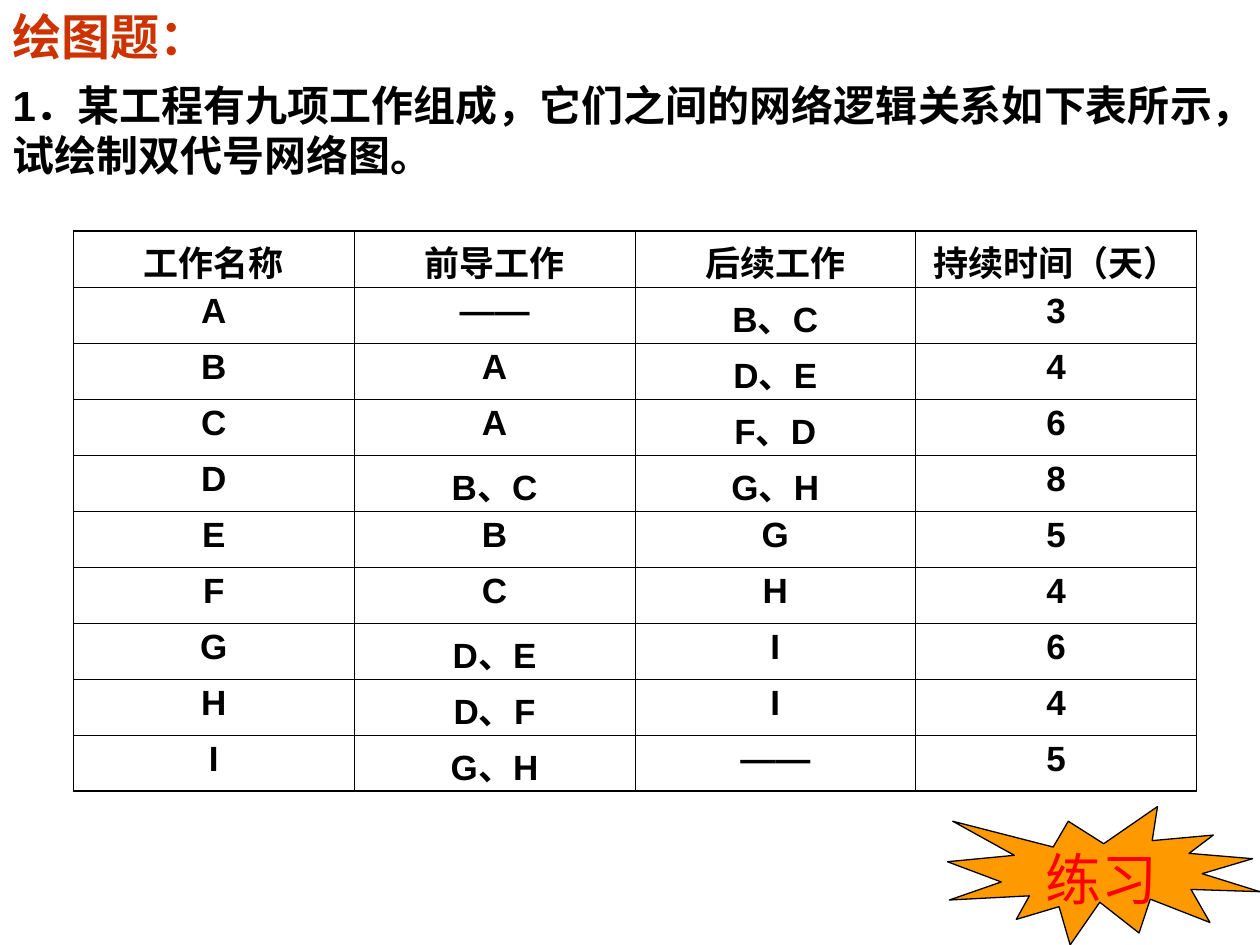
import pptx
import pptx.dml.color
import pptx.enum.shapes
import pptx.enum.text
import pptx.oxml
import pptx.oxml.ns
import pptx.util
from pptx.util import Cm

HEADING = "绘图题："
QUESTION = "1．某工程有九项工作组成，它们之间的网络逻辑关系如下表所示，试绘制双代号网络图。"
BADGE = "练习"
TASKS = [
    ("工作名称", "前导工作", "后续工作", "持续时间（天）"),
    ("A", "——", "B、C", "3"),
    ("B", "A", "D、E", "4"),
    ("C", "A", "F、D", "6"),
    ("D", "B、C", "G、H", "8"),
    ("E", "B", "G", "5"),
    ("F", "C", "H", "4"),
    ("G", "D、E", "I", "6"),
    ("H", "D、F", "I", "4"),
    ("I", "G、H", "——", "5"),
]
COLUMN_WIDTH, ROW_HEIGHT = Cm(5.66), Cm(1.13)
INNER_LINE, OUTER_LINE = 0.45, 1.08


def rgb(color):
    return pptx.dml.color.RGBColor.from_string(color)


def write(frame, text, size, color, bold=True, align=pptx.enum.text.PP_ALIGN.LEFT):
    paragraph = frame.paragraphs[0]
    paragraph.text = text
    paragraph.alignment = align
    paragraph.space_before = pptx.util.Pt(0)
    paragraph.font.name = "Arial"
    paragraph.font.size = pptx.util.Pt(size)
    paragraph.font.bold = bold
    paragraph.font.color.rgb = rgb(color)


def place(placeholder, left, top, width, height):
    """Move a placeholder and let its text start at the top at full size."""
    placeholder.left, placeholder.top = left, top
    placeholder.width, placeholder.height = width, height
    frame = placeholder.text_frame
    frame.word_wrap = True
    frame.auto_size = pptx.enum.text.MSO_AUTO_SIZE.NONE
    frame.vertical_anchor = pptx.enum.text.MSO_ANCHOR.TOP
    return frame


def set_borders(cell, widths):
    """Draw black borders; widths are points for left, right, top, bottom."""
    properties = cell._tc.get_or_add_tcPr()
    for position, (side, width) in enumerate(zip("LRTB", widths)):
        properties.insert(position, pptx.oxml.parse_xml(
            f'<a:ln{side} {pptx.oxml.ns.nsdecls("a")} w="{pptx.util.Pt(width)}">'
            '<a:solidFill><a:srgbClr val="000000"/></a:solidFill>'
            f'</a:ln{side}>'))


def add_task_table(slide):
    last_row, last_column = len(TASKS) - 1, len(TASKS[0]) - 1
    table = slide.shapes.add_table(
        len(TASKS), len(TASKS[0]), Cm(1.48), Cm(4.66),
        COLUMN_WIDTH * len(TASKS[0]), ROW_HEIGHT * len(TASKS)).table
    table.first_row = table.horz_banding = False
    for column in table.columns:
        column.width = COLUMN_WIDTH
    for r, task in enumerate(TASKS):
        table.rows[r].height = ROW_HEIGHT
        for c, text in enumerate(task):
            cell = table.cell(r, c)
            cell.fill.background()
            # Tight margins keep the tall Chinese line within the row height
            cell.margin_top, cell.margin_bottom = Cm(0.1), Cm(0)
            write(cell.text_frame, text, 20, "000000",
                  align=pptx.enum.text.PP_ALIGN.CENTER)
            on_edge = (c == 0, c == last_column, r == 0, r == last_row)
            set_borders(cell, [OUTER_LINE if edge else INNER_LINE for edge in on_edge])


def add_badge(slide):
    badge = slide.shapes.add_group_shape()
    burst = badge.shapes.add_shape(
        pptx.enum.shapes.MSO_SHAPE.EXPLOSION1, Cm(19.1), Cm(16.26), Cm(6.3), Cm(2.79))
    burst.shadow.inherit = False
    burst.fill.solid()
    burst.fill.fore_color.rgb = rgb("FF9900")
    burst.line.color.rgb = rgb("000000")
    burst.line.width = pptx.util.Pt(0.75)
    label = badge.shapes.add_textbox(Cm(20.83), Cm(16.89), Cm(2.84), Cm(1.63))
    label.text_frame.word_wrap = True
    write(label.text_frame, BADGE, 32, "FF0000", bold=False)


def main():
    presentation = pptx.Presentation()
    presentation.slide_width, presentation.slide_height = Cm(25.4), Cm(19.05)
    slide = presentation.slides.add_slide(presentation.slide_layouts[1])

    heading = place(slide.shapes.title, Cm(0), Cm(0), Cm(13.77), Cm(1.45))
    write(heading, HEADING, 28, "CC3300")

    question = place(slide.placeholders[1], Cm(0), Cm(1.47), Cm(24.77), Cm(2.29))
    properties = question.paragraphs[0]._p.get_or_add_pPr()
    properties.set("marL", "0")
    properties.set("indent", "0")
    properties.append(pptx.oxml.parse_xml(f'<a:buNone {pptx.oxml.ns.nsdecls("a")}/>'))
    write(question, QUESTION, 24, "000000")

    add_task_table(slide)
    add_badge(slide)
    presentation.save("out.pptx")


if __name__ == "__main__":
    main()
